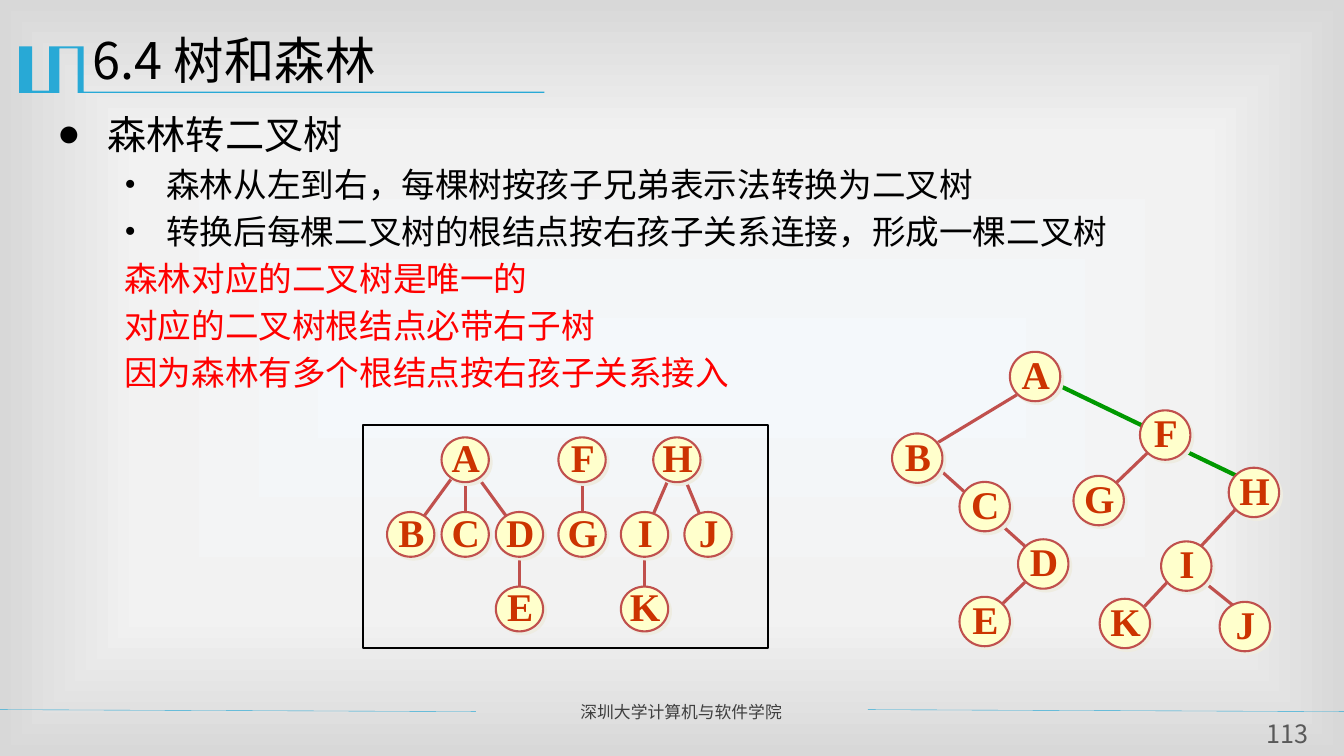
from pptx import Presentation
from pptx import util as u
from pptx.dml import color
from pptx.enum import shapes, text
from pptx.oxml import ns, parse_xml

SANS, SERIF = "Noto Sans CJK SC", "Times New Roman"
BLUE, RED, BROWN, GREEN = "28A9D6", "FF0000", "C0504D", "009900"
DRAWING = ns.nsdecls("a")
BACKGROUND = f"""<a:gradFill {DRAWING} rotWithShape="1"><a:gsLst>
<a:gs pos="0"><a:srgbClr val="F4F8FB"/></a:gs>
<a:gs pos="63000"><a:srgbClr val="F2F2F2"/></a:gs>
<a:gs pos="100000"><a:srgbClr val="D8D8D8"/></a:gs></a:gsLst>
<a:path path="rect"><a:fillToRect l="50000" t="50000" r="50000" b="50000"/></a:path>
</a:gradFill>"""
NODE_SHADOW = f"""<a:effectLst {DRAWING}><a:outerShdw dist="35560" dir="2700000"
algn="ctr" rotWithShape="0"><a:srgbClr val="EEECE1"/></a:outerShdw></a:effectLst>"""

BODY = [("森林转二叉树", 28, "000000", "●", 36, -36),
        ("森林从左到右，每棵树按孩子兄弟表示法转换为二叉树", 24, "000000", "•", 78, -30),
        ("转换后每棵二叉树的根结点按右孩子关系连接，形成一棵二叉树", 24, "000000", "•", 78, -30),
        ("森林对应的二叉树是唯一的", 24, RED, None, 48, 0),
        ("对应的二叉树根结点必带右子树", 24, RED, None, 48, 0),
        ("因为森林有多个根结点按右孩子关系接入", 24, RED, None, 48, 0)]

FOREST_ROWS = [{"A": 56.2, "F": 139.7, "H": 207.4},
               {"B": 17.3, "C": 56.2, "D": 95, "G": 139.7, "I": 184.3, "J": 229.7},
               {"E": 95, "K": 184.3}]
FOREST_EDGES = ["AB", "AC", "AD", "DE", "FG", "HI", "HJ", "IK"]

BINARY_NODES = {"A": (84.2, 0), "B": (0, 58.3), "C": (48.2, 92.9), "D": (90, 133.9),
                "E": (48.2, 175), "F": (177.1, 41.8), "G": (129.6, 88.6),
                "H": (240.5, 82.8), "I": (192.2, 135.4), "K": (148.3, 176.4),
                "J": (234, 178.6)}
BINARY_EDGES = [(90, 30.2, 24.5, 69.8), (24.5, 75.6, 102.2, 145.4),
                (102.2, 157.7, 72, 186.5), (189.4, 65.5, 153.4, 100.1),
                (246.2, 111.6, 180, 182.2), (222.5, 164.2, 252, 187.9)]
ROOT_LINKS = [(120.2, 24.5, 180, 53.3), (210.2, 71.3, 246.2, 88.6)]


def rgb(value):
    """Turn a hex string into a colour."""
    return color.RGBColor.from_string(value)


def format_paragraph(paragraph, size, fill, font=SANS, bold=False):
    """Format every run of a paragraph, East Asian letters included."""
    for run in paragraph.runs:
        run.font.size = u.Pt(size)
        run.font.bold = bold
        run.font.color.rgb = rgb(fill)
        run.font.name = font
        run.font._element.append(parse_xml(f'<a:ea {DRAWING} typeface="{font}"/>'))


def add_line(slide, x1, y1, x2, y2, fill, width):
    """Draw a straight line without a shadow."""
    line = slide.shapes.add_connector(shapes.MSO_CONNECTOR.STRAIGHT,
                                      *map(u.Pt, (x1, y1, x2, y2)))
    line.line.color.rgb = rgb(fill)
    line.line.width = u.Pt(width)
    line.element.spPr.append(parse_xml(f"<a:effectLst {DRAWING}/>"))


def add_node(slide, letter, left, top, width, height):
    """Draw a tree node with its letter."""
    node = slide.shapes.add_shape(shapes.MSO_SHAPE.OVAL,
                                  *map(u.Pt, (left, top, width, height)))
    node.fill.solid()
    node.fill.fore_color.rgb = rgb("FFFFCC")
    node.line.color.rgb = rgb(BROWN)
    node.line.width = u.Pt(1.5)
    node.element.spPr.append(parse_xml(NODE_SHADOW))
    frame = node.text_frame
    frame.margin_left = u.Pt(1)
    frame.margin_right = frame.margin_top = 0
    frame.margin_bottom = u.Pt(4)
    frame.word_wrap = False
    frame.vertical_anchor = text.MSO_ANCHOR.MIDDLE
    frame.text = letter
    frame.paragraphs[0].alignment = text.PP_ALIGN.CENTER
    format_paragraph(frame.paragraphs[0], 28, "CC3300", SERIF, True)


def add_title(slide, left, top, width, height):
    """Place the heading and the meander ornament beside it."""
    title = slide.shapes.title
    title.left, title.top, title.width, title.height = map(u.Pt, (left, top, width, height))
    frame = title.text_frame
    frame.text = "6.4 树和森林"
    frame.auto_size = text.MSO_AUTO_SIZE.NONE
    frame.vertical_anchor = text.MSO_ANCHOR.TOP
    frame.paragraphs[0].alignment = text.PP_ALIGN.LEFT
    format_paragraph(frame.paragraphs[0], 36, "000000")
    outline = [(0.7, 15.8), (0.7, 48.2), (329.8, 48.2), (329.8, 49), (-3.6, 49),
               (-3.6, 17.3), (-16.6, 17.3), (-16.6, 49), (-45.4, 49), (-45.4, 15.8),
               (-36, 15.8), (-36, 47.5), (-23.8, 47.5), (-23.8, 15.8)]
    points = [(u.Pt(left + x), u.Pt(top + y)) for x, y in outline]
    builder = slide.shapes.build_freeform(*points[0])
    builder.add_line_segments(points[1:], close=True)
    ornament = builder.convert_to_shape()
    ornament.shadow.inherit = False
    ornament.fill.solid()
    ornament.fill.fore_color.rgb = rgb(BLUE)
    ornament.line.fill.background()


def add_body(slide, left, top, width, height):
    """Write the bulleted explanation."""
    frame = slide.shapes.add_textbox(*map(u.Pt, (left, top, width, height))).text_frame
    frame.word_wrap = True
    for index, (words, size, fill, bullet, margin, indent) in enumerate(BODY):
        paragraph = frame.add_paragraph() if index else frame.paragraphs[0]
        paragraph.text = words
        if index:
            paragraph.space_before = u.Pt(4.8)
        properties = paragraph._p.get_or_add_pPr()
        properties.set("marL", str(u.Pt(margin)))
        properties.set("indent", str(u.Pt(indent)))
        if bullet:
            properties.append(parse_xml(f'<a:buFont {DRAWING} typeface="{SERIF}"/>'))
            properties.append(parse_xml(f'<a:buChar {DRAWING} char="{bullet}"/>'))
        format_paragraph(paragraph, size, fill)


def add_forest(slide, left, top, width, height):
    """Draw the framed forest of three trees."""
    node_width, node_height, row_step = 33.8, 32, 53.3
    nodes = {letter: (left + x, top + 8.6 + row * row_step)
             for row, letters in enumerate(FOREST_ROWS) for letter, x in letters.items()}
    for parent, child in FOREST_EDGES:
        (x1, y1), (x2, y2) = nodes[parent], nodes[child]
        ends = [value for share in (0.2, 0.8)
                for value in (x1 + share * (x2 - x1) + node_width / 2,
                              y1 + share * (y2 - y1) + node_height / 2)]
        add_line(slide, *ends, BROWN, 2.25)
    for letter, (x, y) in nodes.items():
        add_node(slide, letter, x, y, node_width, node_height)
    frame = slide.shapes.add_shape(shapes.MSO_SHAPE.RECTANGLE,
                                   *map(u.Pt, (left, top, width, height)))
    frame.shadow.inherit = False
    frame.fill.background()
    frame.line.color.rgb = rgb("000000")
    frame.line.width = u.Pt(1.5)


def add_binary_tree(slide, left, top):
    """Draw the binary tree, with the links between former roots in green."""
    for edges, fill, width in ((BINARY_EDGES, BROWN, 2.25), (ROOT_LINKS, GREEN, 3)):
        for x1, y1, x2, y2 in edges:
            add_line(slide, left + x1, top + y1, left + x2, top + y2, fill, width)
    for letter, (x, y) in BINARY_NODES.items():
        add_node(slide, letter, left + x, top + y, 36, 35.3)


def add_footer(slide, left, top, width):
    """Write the school and page number between two thin rules."""
    for start, end in ((0, 340), (620, width)):
        add_line(slide, left + start, top, left + end, top + 1.4, BLUE, 0.25)
    school = slide.shapes.add_textbox(*map(u.Pt, (left + 407.5, top - 9.4, 205.2, 21.6)))
    school.text_frame.text = "深圳大学计算机与软件学院"
    format_paragraph(school.text_frame.paragraphs[0], 12, "3F3F3F")
    page = slide.shapes.add_textbox(*map(u.Pt, (left + 898.6, top + 6.5, 42.5, 22.3)))
    frame = page.text_frame
    frame.margin_left = frame.margin_right = frame.margin_top = frame.margin_bottom = 0
    frame.text = "113"
    frame.paragraphs[0].alignment = text.PP_ALIGN.CENTER
    format_paragraph(frame.paragraphs[0], 18, "595959")


def main():
    """Build the slide and save it."""
    presentation = Presentation()
    presentation.slide_width, presentation.slide_height = u.Pt(960), u.Pt(540)
    slide = presentation.slides.add_slide(presentation.slide_layouts[5])
    slide.background.fill.gradient()
    gradient = slide.element.find(".//" + ns.qn("a:gradFill"))
    gradient.getparent().replace(gradient, parse_xml(BACKGROUND))
    add_footer(slide, 0, 506.9, 960)
    add_title(slide, 59, 17.3, 864, 62.6)
    add_body(slide, 33.8, 74.9, 873.4, 162)
    add_binary_tree(slide, 637.2, 251.3)
    add_forest(slide, 259.2, 303.8, 289.4, 159.1)
    presentation.save("out.pptx")


if __name__ == "__main__":
    main()
